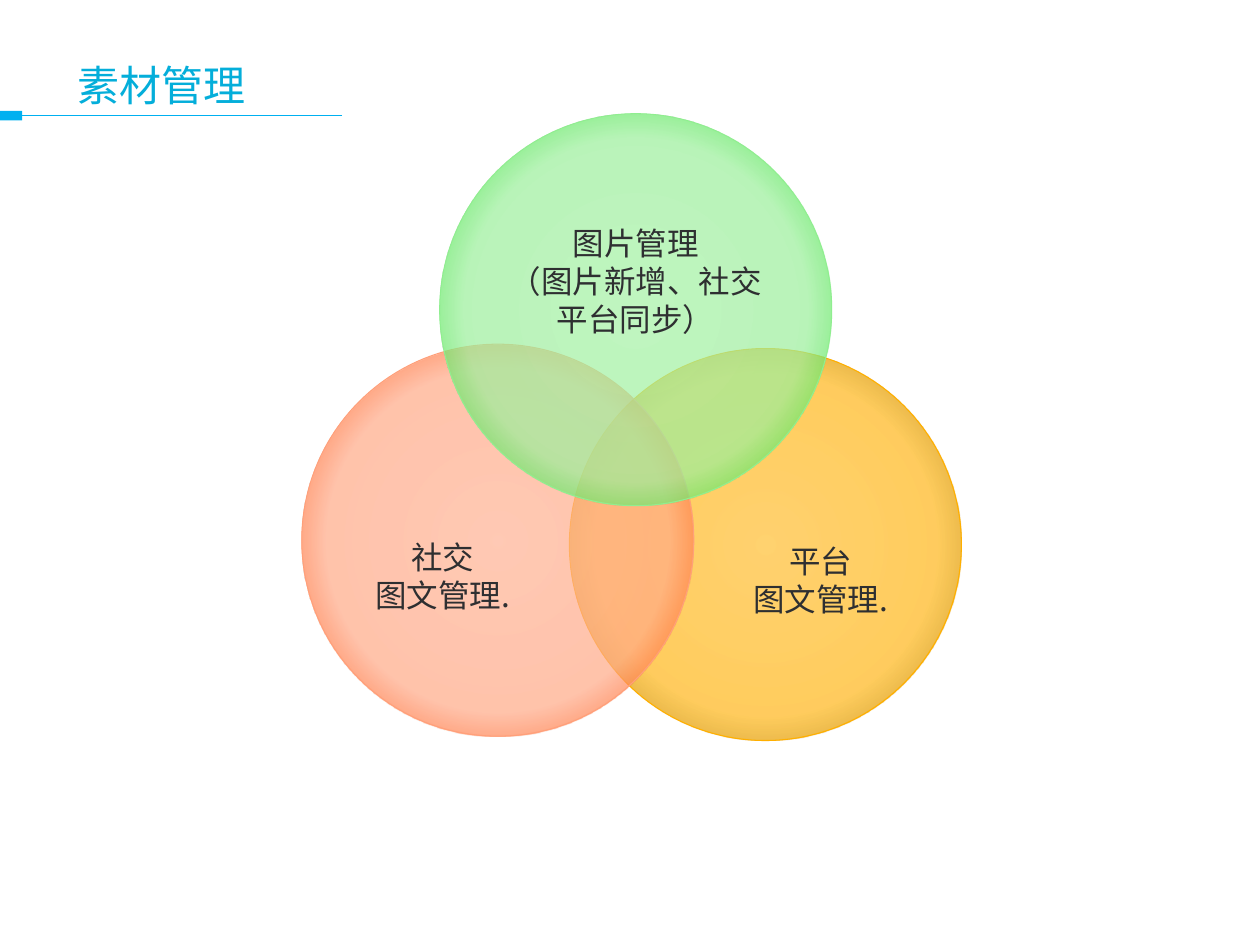
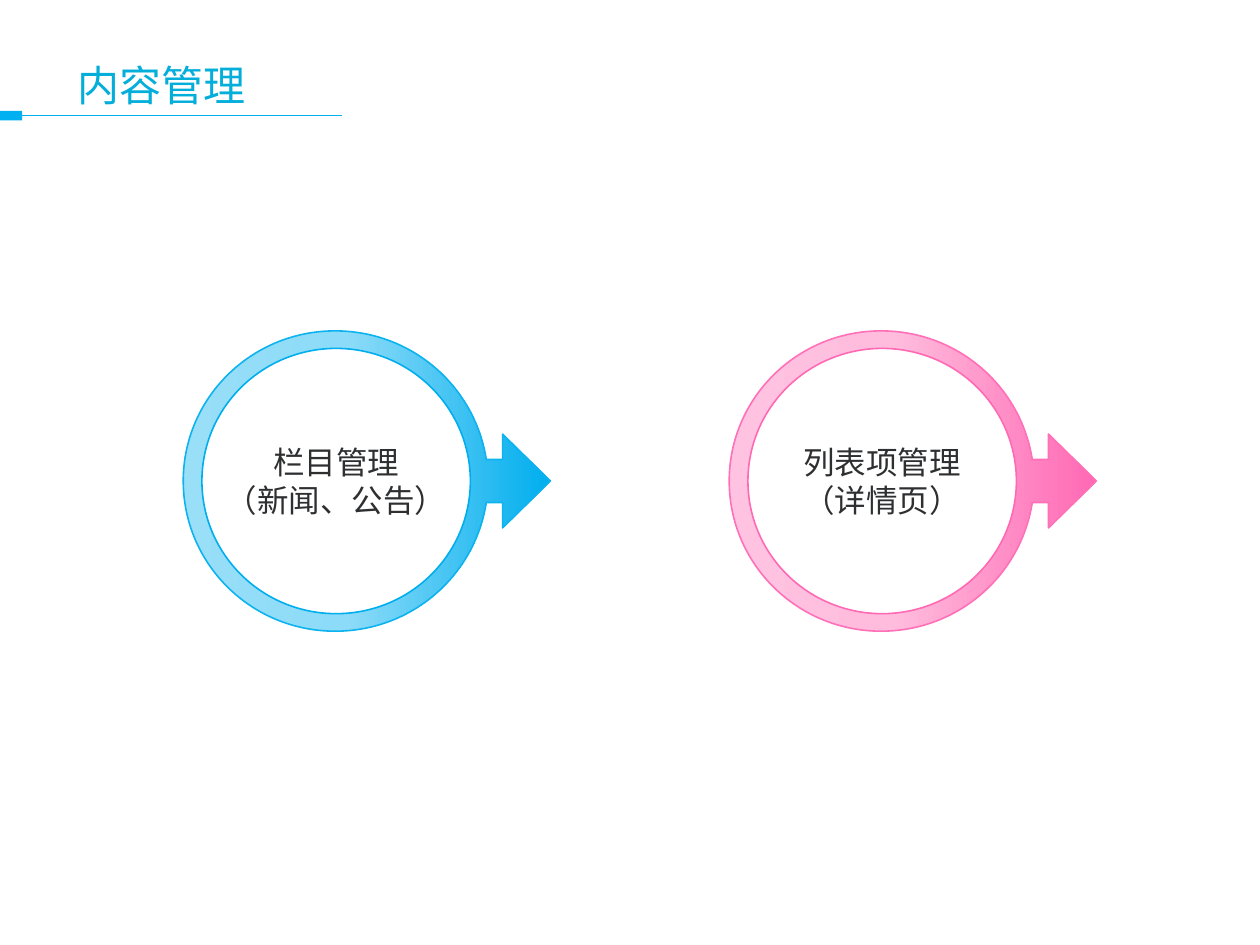
"""Build two slides: overlapping circles and ring arrows on content management."""
from dataclasses import dataclass
from typing import NamedTuple

from pptx import Presentation
from pptx.dml.color import RGBColor
from pptx.enum import shapes, text
from pptx.oxml import ns, parse_xml
from pptx.util import Pt


@dataclass(frozen=True)
class Theme:
    """Colours, fonts and sizes used on both slides."""
    accent: str = "00B0F0"
    title: str = "04AEDA"
    ink: str = "2E2F31"
    paper: str = "FFFFFF"
    latin: str = "Montserrat"
    cjk: str = "Noto Sans CJK SC"
    title_size: float = 24
    label_size: float = 18
    rule_width: float = 0.75
    circle_line: float = 0.6
    ring_line: float = 0.9


class Circle(NamedTuple):
    """A translucent circle whose label is moved by extra margins."""
    left: float
    top: float
    lines: tuple[str, ...]
    stops: tuple[str, ...]
    line: str
    margins: dict[str, float]


class Ring(NamedTuple):
    """A ring ending in an arrow, with a label inside."""
    lines: tuple[str, ...]
    stops: tuple[str, ...]
    outer_line: str
    inner_line: str


THEME = Theme()
DIAMETER = 224
CIRCLE_POSITIONS = (0, 62, 71, 100)
RING_POSITIONS = (0, 45, 100)
RING_X, RING_Y, RING_PITCH = 191.5, 274.9, 312
INNER_WIDTH, INNER_HEIGHT = 153.4, 151.6
UPPER_ARCS = ((-86.8, 0), (-86.8, -47.5), (-47.9, -85.8), (0, -85.8),
              (43.9, -85.8), (79.9, -54), (86.4, -12.3))
UPPER_ARROW = ((95.7, -12.3), (95.7, -26.8))
ARROW_TIP = (123, 0)

CIRCLES = (
    Circle(325.4, 199.2, ("平台", "图文管理."),
           ("FFBF33", "FFB719", "E59E00", "E59E00"), "FFAF00",
           {"margin_left": 66, "margin_top": 42}),
    Circle(172.5, 196.7, ("社交", "图文管理."),
           ("FFB395", "FFA987", "FF8554", "FF8554"), "FFA07A",
           {"margin_right": 66, "margin_top": 42}),
    Circle(251.3, 65, ("图片管理", "（图片新增、社交平台同步）"),
           ("A6F1A6", "9BF09B", "6FE96F", "6FE96F"), "90EE90",
           {"margin_bottom": 34}),
)
RINGS = (
    Ring(("栏目管理", "（新闻、公告）"), ("99DFF8", "8CDBF8", "00AEEE"), "0DB3EE", "00AEEE"),
    Ring(("列表项管理", "（详情页）"), ("FFC3E1", "FFBCDD", "FF69B4"), "FF70B8", "FF69B4"),
)


def set_attrs(obj, values: dict) -> None:
    """Set each named attribute on an object."""
    for name, value in values.items():
        setattr(obj, name, value)


def style_run(r, size: float, color: str, latin: str) -> None:
    """Format a run, with the CJK font for East Asian text."""
    set_attrs(r.font, {"size": Pt(size), "name": latin, "bold": False})
    r.font.color.rgb = RGBColor.from_string(color)
    r.font._element.find(ns.qn("a:latin")).addnext(
        parse_xml(f'<a:ea {ns.nsdecls("a")} typeface="{THEME.cjk}"/>'))


def style_shape(s, line: str, width: float, fill: str = THEME.paper) -> None:
    """Give a shape a solid fill and a line, without shadow."""
    s.shadow.inherit = False
    s.fill.solid()
    s.fill.fore_color.rgb = RGBColor.from_string(fill)
    s.line.color.rgb = RGBColor.from_string(line)
    s.line.width = Pt(width)


def set_gradient(s, colors: tuple[str, ...], positions: tuple[int, ...],
                 direction: str, alpha: int = 100) -> None:
    """Replace the solid fill with a gradient of the given stops."""
    stops = "".join(
        f'<a:gs pos="{pos * 1000}"><a:srgbClr val="{color}">'
        f'<a:alpha val="{alpha * 1000}"/></a:srgbClr></a:gs>'
        for pos, color in zip(positions, colors))
    solid = s._element.spPr.find(ns.qn("a:solidFill"))
    solid.getparent().replace(solid, parse_xml(
        f'<a:gradFill {ns.nsdecls("a")} rotWithShape="1">'
        f'<a:gsLst>{stops}</a:gsLst>{direction}</a:gradFill>'))


def write_label(s, lines: tuple[str, ...], margins: dict[str, float]) -> None:
    """Write centred lines into a shape."""
    tf = s.text_frame
    sides = {"margin_left": 2.9, "margin_right": 2.9,
             "margin_top": 1.4, "margin_bottom": 1.4} | margins
    set_attrs(tf, {name: Pt(value) for name, value in sides.items()})
    set_attrs(tf, {"word_wrap": True, "vertical_anchor": text.MSO_ANCHOR.MIDDLE})
    for i, line in enumerate(lines):
        p = tf.add_paragraph() if i else tf.paragraphs[0]
        p.alignment = text.PP_ALIGN.CENTER
        r = p.add_run()
        r.text = line
        style_run(r, THEME.label_size, THEME.ink, THEME.cjk)


def add_titled_slide(prs, title: str, latin: str):
    """Add a slide with the shared title, band and rule."""
    slide = prs.slides.add_slide(prs.slide_layouts[5])
    rule = slide.shapes.add_connector(
        shapes.MSO_CONNECTOR.STRAIGHT, Pt(195.5), Pt(66.1), Pt(12.7), Pt(66.1))
    rule.line.color.rgb = RGBColor.from_string(THEME.accent)
    rule.line.width = Pt(THEME.rule_width)
    rule._element.spPr.append(parse_xml(f'<a:effectLst {ns.nsdecls("a")}/>'))
    band = slide.shapes.add_shape(
        shapes.MSO_SHAPE.RECTANGLE, Pt(0), Pt(63.4), Pt(12.7), Pt(5.5))
    style_shape(band, THEME.accent, 0, THEME.accent)
    band.line.fill.background()
    s = slide.shapes.title
    set_attrs(s, {"left": Pt(37), "top": Pt(31), "width": Pt(648), "height": Pt(35.3)})
    tf = s.text_frame
    set_attrs(tf, {"vertical_anchor": text.MSO_ANCHOR.MIDDLE, "word_wrap": True})
    p = tf.paragraphs[0]
    p.alignment = text.PP_ALIGN.LEFT
    r = p.add_run()
    r.text = title
    style_run(r, THEME.title_size, THEME.title, latin)
    return slide


def add_circle(slide, circle: Circle) -> None:
    """Draw one translucent circle with its label."""
    s = slide.shapes.add_shape(shapes.MSO_SHAPE.OVAL, Pt(circle.left), Pt(circle.top),
                               Pt(DIAMETER), Pt(DIAMETER))
    style_shape(s, circle.line, THEME.circle_line)
    set_gradient(s, circle.stops, CIRCLE_POSITIONS,
                 '<a:path path="circle"><a:fillToRect l="50000" t="50000" '
                 'r="50000" b="50000"/></a:path>', alpha=70)
    write_label(s, circle.lines, circle.margins)


def ring_outline(x: float, y: float) -> list[tuple[int, int]]:
    """Return the outline: upper arcs and arrow, tip, then their mirror."""
    upper = UPPER_ARCS + UPPER_ARROW
    lower = tuple((dx, -dy) for dx, dy in reversed(upper))
    return [(Pt(x + dx), Pt(y + dy)) for dx, dy in upper + (ARROW_TIP,) + lower]


def curve_arcs(s) -> None:
    """Turn the line triples of the four arcs into Bezier curves."""
    lines = list(s._element.spPr.iter(ns.qn("a:lnTo")))
    for first in (0, 3, len(lines) - 6, len(lines) - 3):
        curve = parse_xml(f'<a:cubicBezTo {ns.nsdecls("a")}/>')
        lines[first].addprevious(curve)
        for line in lines[first:first + 3]:
            curve.append(line[0])
            line.getparent().remove(line)


def add_ring(slide, ring: Ring, x: float) -> None:
    """Draw one ring arrow centred on x, with its label."""
    points = ring_outline(x, RING_Y)
    builder = slide.shapes.build_freeform(*points[0])
    builder.add_line_segments(points[1:], close=True)
    s = builder.convert_to_shape()
    curve_arcs(s)
    style_shape(s, ring.outer_line, THEME.ring_line)
    set_gradient(s, ring.stops, RING_POSITIONS, '<a:lin ang="0" scaled="0"/>')
    box = (Pt(x + 0.6 - INNER_WIDTH / 2), Pt(RING_Y - INNER_HEIGHT / 2),
           Pt(INNER_WIDTH), Pt(INNER_HEIGHT))
    hole = slide.shapes.add_shape(shapes.MSO_SHAPE.OVAL, *box)
    style_shape(hole, ring.inner_line, THEME.ring_line)
    write_label(slide.shapes.add_textbox(*box), ring.lines, {})


def main() -> None:
    """Build and save the presentation."""
    prs = Presentation()
    set_attrs(prs, {"slide_width": Pt(720), "slide_height": Pt(540)})
    slide = add_titled_slide(prs, "素材管理", THEME.latin)
    for circle in CIRCLES:
        add_circle(slide, circle)
    slide = add_titled_slide(prs, "内容管理", THEME.cjk)
    for i, ring in enumerate(RINGS):
        add_ring(slide, ring, RING_X + i * RING_PITCH)
    prs.save("out.pptx")


if __name__ == "__main__":
    main()
